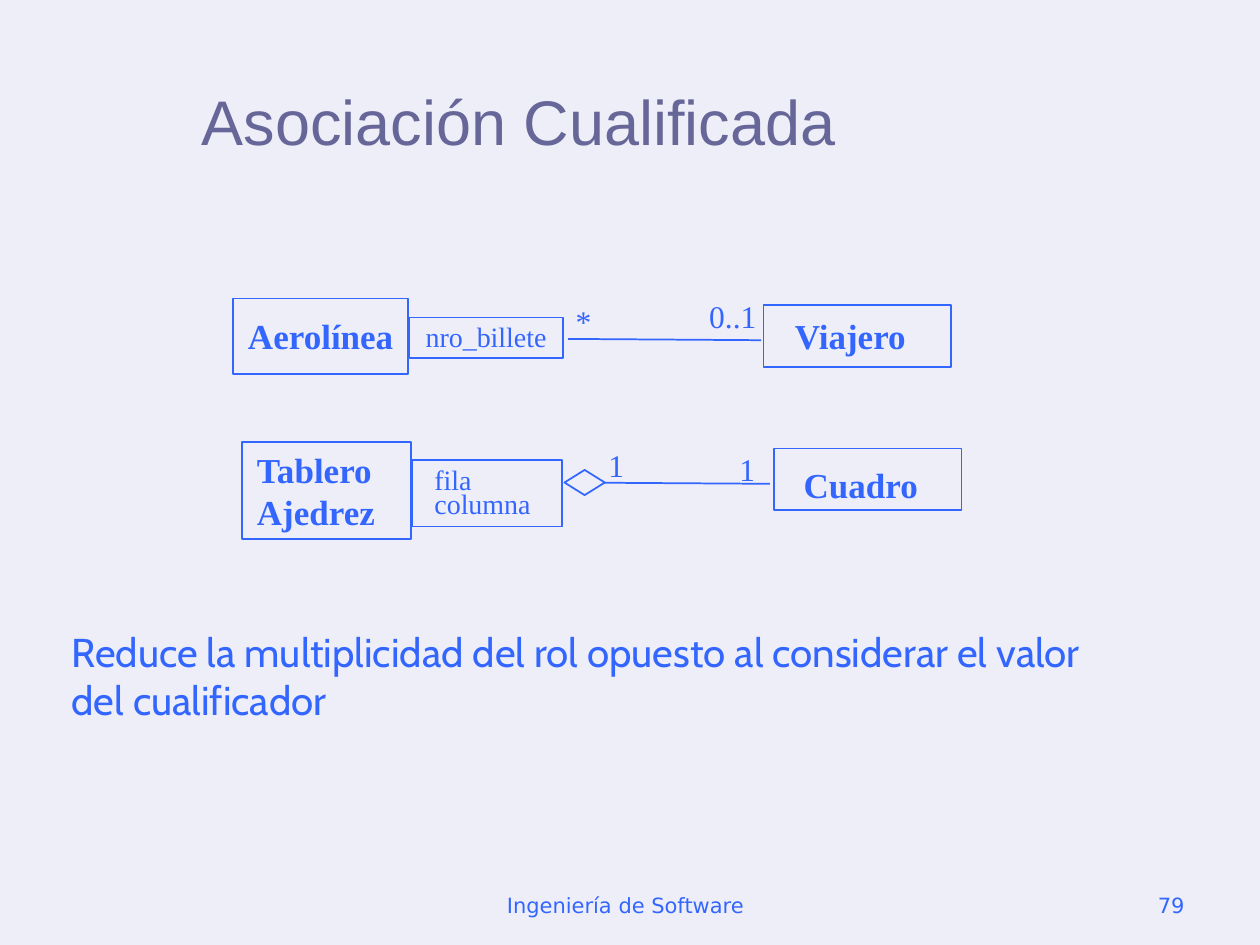
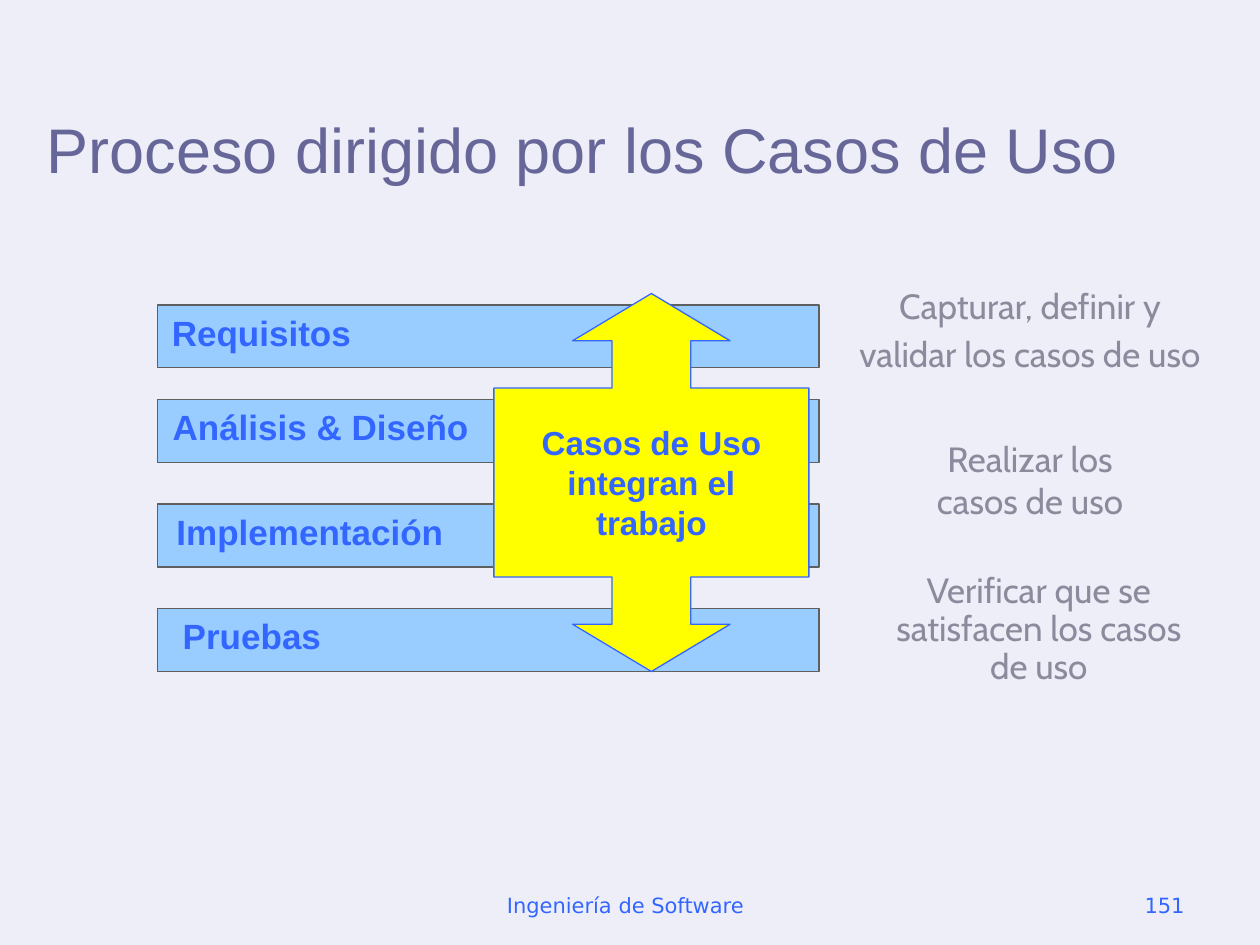
"""Builds two software engineering slides: qualified associations and use cases."""
from dataclasses import dataclass

from lxml import etree
from pptx import Presentation
from pptx.dml.color import RGBColor
from pptx.enum.shapes import MSO_CONNECTOR, MSO_SHAPE
from pptx.enum.text import MSO_ANCHOR, MSO_AUTO_SIZE, PP_ALIGN
from pptx.oxml.ns import qn
from pptx.util import Inches, Pt

PAPER = RGBColor(0xEE, 0xEE, 0xF8)
BLUE = RGBColor(0x33, 0x66, 0xFF)
TITLE_PURPLE = RGBColor(0x66, 0x66, 0x99)
CAPTION_GREY = RGBColor(0x8C, 0x8B, 0x9D)
BAR_BLUE = RGBColor(0x99, 0xCC, 0xFF)
BAR_EDGE = RGBColor(0x5F, 0x5F, 0x5F)
YELLOW = RGBColor(0xFF, 0xFF, 0x00)

SANS, SERIF, CAPTION_FONT, FOOTER_FONT = "Arial", "Times New Roman", "Cabin", "DejaVu Sans"
LEFT, CENTER, RIGHT = PP_ALIGN.LEFT, PP_ALIGN.CENTER, PP_ALIGN.RIGHT
TOP, MIDDLE, BOTTOM = MSO_ANCHOR.TOP, MSO_ANCHOR.MIDDLE, MSO_ANCHOR.BOTTOM
RECTANGLE, DIAMOND = MSO_SHAPE.RECTANGLE, MSO_SHAPE.DIAMOND
CALLOUT = MSO_SHAPE.UP_DOWN_ARROW_CALLOUT
STRAIGHT = MSO_CONNECTOR.STRAIGHT
NO_AUTOFIT = MSO_AUTO_SIZE.NONE
TITLE_ONLY = 5


@dataclass
class Style:
    """Looks of a block of text."""
    size: float
    font: str
    color: RGBColor = BLUE
    bold: bool = False
    align: PP_ALIGN = LEFT


TITLE = Style(36, SANS, TITLE_PURPLE)
FOOTER = Style(12, FOOTER_FONT, align=CENTER)
PAGE_NUMBER = Style(12, FOOTER_FONT, align=RIGHT)
CLASS_NAME = Style(20, SERIF, bold=True)
QUALIFIER = Style(16, SERIF)
MULTIPLICITY = Style(18, SERIF)
NOTE = Style(23, CAPTION_FONT)
BAR_LABEL = Style(20, SANS, bold=True, align=CENTER)
CAPTION = Style(20, CAPTION_FONT, CAPTION_GREY, align=CENTER)
CALLOUT_TEXT = Style(19, SANS, bold=True, align=CENTER)


def inches(box):
    """Turn numbers into lengths."""
    return [Inches(length) for length in box]


def shift(box, left, top):
    """Move a box given relative to an origin."""
    return (round(left + box[0], 2), round(top + box[1], 2), *box[2:])


def write(frame, lines, style, spacings=(), gap=0):
    """Fill a text frame with one paragraph for each line."""
    for index, line in enumerate(lines):
        para = frame.paragraphs[0] if index == 0 else frame.add_paragraph()
        para.text = line
        para.alignment = style.align
        para.space_before = Pt(gap if index else 0)
        if spacings:
            para.line_spacing = spacings[index]
        font = para.font
        font.name, font.size, font.bold = style.font, Pt(style.size), style.bold
        font.color.rgb = style.color


def add_text(page, box, lines, style, wrap=True, anchor=TOP, spacings=(), gap=0):
    """Add a text box."""
    frame = page.shapes.add_textbox(*inches(box)).text_frame
    frame.word_wrap = wrap
    frame.vertical_anchor = anchor
    write(frame, lines, style, spacings, gap)


def add_block(page, kind, box, line, weight, fill=None):
    """Add an outlined preset shape, hollow unless a fill is given."""
    block = page.shapes.add_shape(kind, *inches(box))
    block.shadow.inherit = False
    block.line.color.rgb = line
    block.line.width = Pt(weight)
    if fill is None:
        block.fill.background()
    else:
        block.fill.solid()
        block.fill.fore_color.rgb = fill
    return block


def add_link(page, start, end):
    """Draw a plain association line."""
    link = page.shapes.add_connector(STRAIGHT, *inches((*start, *end)))
    link.line.color.rgb = BLUE
    link.line.width = Pt(1)
    etree.SubElement(link._element.spPr, qn("a:effectLst"))


def add_page(deck, title, title_box, anchor, number):
    """Add a page with its title, footer and page number."""
    page = deck.slides.add_slide(deck.slide_layouts[TITLE_ONLY])
    heading = page.shapes.title
    heading.left, heading.top, heading.width, heading.height = inches(title_box)
    frame = heading.text_frame
    frame.auto_size = NO_AUTOFIT
    frame.vertical_anchor = anchor
    write(frame, [title], TITLE)
    add_text(page, (3.38, 6.83, 3.17, 0.5), ["Ingeniería de Software"], FOOTER, anchor=BOTTOM)
    add_text(page, (7.17, 6.83, 2.33, 0.5), [number], PAGE_NUMBER, anchor=BOTTOM)
    return page


def add_association(page, left, top, owner, qualifier, target, marks, diamond=None):
    """Draw owner, qualifier and target classes; each part is (frame, text box, lines)."""
    for part, style in ((owner, CLASS_NAME), (qualifier, QUALIFIER), (target, CLASS_NAME)):
        frame_box, text_box, lines = part
        tight = style is QUALIFIER and len(lines) > 1
        add_block(page, RECTANGLE, shift(frame_box, left, top), BLUE, 1)
        add_text(page, shift(text_box, left, top), lines, style, wrap=style is QUALIFIER,
                 spacings=[0.2] * len(lines) if tight else (), gap=10 if tight else 0)
    add_link(page, shift((2.66, 0.32), left, top), shift((4.19, 0.33), left, top))
    for mark_box, mark in marks:
        add_text(page, shift(mark_box, left, top), [mark], MULTIPLICITY)
    if diamond:
        add_block(page, DIAMOND, shift(diamond, left, top), BLUE, 1, PAPER)


def build_association_page(deck):
    """Build the page on qualified associations."""
    page = add_page(deck, "Asociación Cualificada", (1.5, 0.33, 8, 1.25), MIDDLE, "79")
    add_association(
        page, 1.85, 2.37,
        owner=((0, 0, 1.39, 0.6), (0.02, 0.08, 1.36, 0.43), ["Aerolínea"]),
        qualifier=((1.4, 0.15, 1.22, 0.32), (1.43, 0.12, 1.36, 0.37), ["nro_billete"]),
        target=((4.21, 0.05, 1.49, 0.49), (4.36, 0.08, 1.1, 0.43), ["Viajero"]),
        marks=[((2.62, -0.02, 0.5, 0.4), "*"), ((3.68, -0.06, 0.69, 0.4), "0..1")])
    add_association(
        page, 1.92, 3.51,
        owner=((0, 0, 1.34, 0.77), (0.02, 0, 1.15, 0.77), ["Tablero", "Ajedrez"]),
        qualifier=((1.35, 0.14, 1.19, 0.53), (1.43, 0.29, 1.36, 0.35), ["fila", "columna"]),
        target=((4.22, 0.05, 1.49, 0.49), (4.36, 0.12, 1.11, 0.43), ["Cuadro"]),
        marks=[((2.81, -0.02, 0.5, 0.4), "1"), ((3.85, 0.01, 0.43, 0.4), "1")],
        diamond=(2.56, 0.22, 0.32, 0.2))
    add_text(page, (0.47, 4.93, 9.36, 0.87),
             ["Reduce la multiplicidad del rol opuesto al considerar el valor",
              "del cualificador"], NOTE)


def add_phase(page, top, label, label_left, label_width):
    """Draw one process phase as a labelled bar."""
    add_block(page, RECTANGLE, (1.25, top, 5.25, 0.5), BAR_EDGE, 0.75, BAR_BLUE)
    add_text(page, (label_left, top, label_width, 0.43), [label], BAR_LABEL)


def add_use_case_callout(page, box):
    """Draw the two-way arrow that joins the phases."""
    callout = add_block(page, CALLOUT, box, BLUE, 0.75, YELLOW)
    for index, ratio in enumerate((0.25, 0.25, 0.15, 0.5)):
        callout.adjustments[index] = ratio
    frame = callout.text_frame
    frame.word_wrap = False
    frame.vertical_anchor = MIDDLE
    write(frame, ["Casos de Uso", "integran el", "trabajo"], CALLOUT_TEXT)


def build_process_page(deck):
    """Build the page on the process driven by use cases."""
    page = add_page(deck, "Proceso dirigido por los Casos de Uso",
                    (0.27, 0.28, 9.73, 1.25), BOTTOM, "151")
    phases = [(2.42, "Requisitos", 1.17, 1.81), (3.17, "Análisis & Diseño", 0.67, 3.75),
              (4, "Implementación", 1.25, 2.42), (4.83, "Pruebas", 1.17, 1.66)]
    for phase in phases:
        add_phase(page, *phase)
    captions = [
        ((6.58, 2.33, 3.19, 0.88), ["Capturar, definir y", "validar los casos de uso"], (0.6, 0.6)),
        ((6.58, 3.42, 3.19, 0.74), ["Realizar los", "casos de uso"], (1.0, 0.4)),
        ((6.92, 4.5, 2.65, 1), ["Verificar que se satisfacen los casos de uso"], (0.9,))]
    for box, lines, spacings in captions:
        add_text(page, box, lines, CAPTION, spacings=spacings, gap=12.5)
    add_use_case_callout(page, (3.92, 2.33, 2.5, 3))


def main():
    """Build and save the deck."""
    deck = Presentation()
    deck.slide_width, deck.slide_height = Inches(10), Inches(7.5)
    backdrop = deck.slide_master.background.fill
    backdrop.solid()
    backdrop.fore_color.rgb = PAPER
    build_association_page(deck)
    build_process_page(deck)
    deck.save("out.pptx")


if __name__ == "__main__":
    main()
